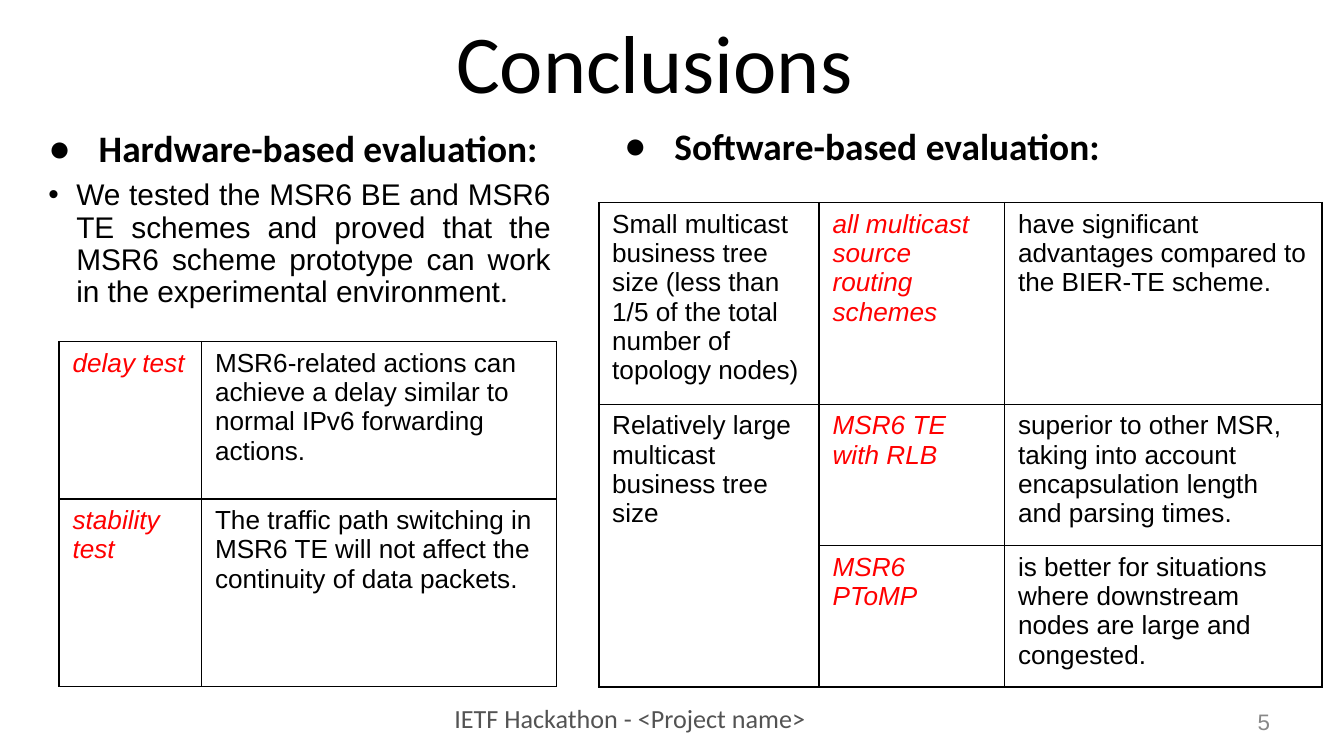
from collections import namedtuple

from lxml import etree
from pptx import Presentation, util as u
from pptx.dml.color import RGBColor
from pptx.enum import text
from pptx.oxml import ns

BLACK = RGBColor(0x00, 0x00, 0x00)
RED = RGBColor(0xFF, 0x00, 0x00)
DARK_GRAY = RGBColor(0x53, 0x53, 0x53)
GRAY = RGBColor(0x88, 0x88, 0x88)

WIDTH = u.Inches(10)
HEIGHT = WIDTH * 9 // 16
COLUMN, ROW = WIDTH / 100, HEIGHT / 100
INSET = u.Inches(0.05)

Box = namedtuple("Box", "left top width height")

DELAY_ROWS = [
    ["delay test",
     "MSR6-related actions can achieve a delay similar to normal IPv6 forwarding actions."],
    ["stability test",
     "The traffic path switching in MSR6 TE will not affect the continuity of data packets."],
]
SCHEME_ROWS = [
    ["Small multicast business tree size (less than 1/5 of the total number of topology nodes)",
     "all multicast source routing schemes",
     "have significant advantages compared to the BIER-TE scheme."],
    ["Relatively large multicast business tree size",
     "MSR6 TE with RLB",
     "superior to other MSR, taking into account encapsulation length and parsing times."],
    ["",
     "MSR6 PToMP",
     "is better for situations where downstream nodes are large and congested."],
]


def place(box):
    return (round(box.left * COLUMN), round(box.top * ROW),
            round(box.width * COLUMN), round(box.height * ROW))


def set_font(para, name, size, color, bold=False, italic=False):
    font = para.font
    font.name, font.size = name, u.Pt(size)
    font.bold, font.italic = bold, italic
    font.color.rgb = color
    ending = etree.SubElement(para._p, ns.qn("a:endParaRPr"), sz=str(size * 100))
    etree.SubElement(ending, ns.qn("a:latin"), typeface=name)


def add_frame(page, box, inset=INSET, anchor=text.MSO_ANCHOR.TOP):
    frame = page.shapes.add_textbox(*place(box)).text_frame
    frame.word_wrap = True
    frame.vertical_anchor = anchor
    frame.margin_left = frame.margin_right = inset
    frame.margin_top = frame.margin_bottom = INSET
    return frame


def add_line(page, box, words, name, size, color, align, anchor):
    para = add_frame(page, box, anchor=anchor).paragraphs[0]
    para.text = words
    para.alignment = align
    set_font(para, name, size, color)


def add_bullet(para, symbol, indent):
    para.line_spacing = 0.9
    para.space_before = u.Pt(5)
    props = para._p.get_or_add_pPr()
    props.set("marL", str(u.Pt(indent)))
    props.set("indent", str(-u.Pt(indent)))
    etree.SubElement(props, ns.qn("a:buFont"), typeface="Arial")
    etree.SubElement(props, ns.qn("a:buChar"), char=symbol)


def write_heading(para, words):
    para.text = words
    add_bullet(para, "●", 27)
    set_font(para, "Calibri", 20, BLACK, bold=True)


def add_border(cell):
    props = cell._tc.get_or_add_tcPr()
    for index, side in enumerate(("lnL", "lnR", "lnT", "lnB")):
        line = etree.Element(ns.qn(f"a:{side}"), w=str(u.Pt(1)))
        fill = etree.SubElement(line, ns.qn("a:solidFill"))
        etree.SubElement(fill, ns.qn("a:srgbClr"), val=str(BLACK))
        props.insert(index, line)


def add_grid(page, box, rows, widths, heights, red_column):
    table = page.shapes.add_table(len(rows), len(widths), *place(box)).table
    table.first_row = table.horz_banding = False
    for column, width in zip(table.columns, widths):
        column.width = round(width * COLUMN)
    for row, height in zip(table.rows, heights):
        row.height = round(height * ROW)
    for y, words in enumerate(rows):
        for x, word in enumerate(words):
            cell = table.cell(y, x)
            cell.fill.background()
            add_border(cell)
            cell.text = word
            is_red = x == red_column
            set_font(cell.text_frame.paragraphs[0], "Arial", 14,
                     RED if is_red else BLACK, italic=is_red)
    return table


def add_title(page, box):
    add_line(page, box, "Conclusions", "Calibri", 44, BLACK,
             text.PP_ALIGN.CENTER, text.MSO_ANCHOR.MIDDLE)


def add_hardware(page, box):
    frame = add_frame(page, box._replace(height=30.6))
    write_heading(frame.paragraphs[0], "Hardware-based evaluation:")
    para = frame.add_paragraph()
    para.text = ("We tested the MSR6 BE and MSR6 TE schemes and proved that the MSR6 "
                 "scheme prototype can work in the experimental environment.")
    para.alignment = text.PP_ALIGN.JUSTIFY
    add_bullet(para, "•", 15)
    set_font(para, "Arial", 16, BLACK)
    grid = Box(box.left + 1.3, box.top + 28.8, 37, 45.6)
    add_grid(page, grid, DELAY_ROWS, (10.6, 26.4), (20.8, 24.8), 0)


def add_software(page, box):
    grid = Box(box.left, box.top + 10.7, box.width, 62.3)
    table = add_grid(page, grid, SCHEME_ROWS, (16.4, 13.8, 23.6), (24.9, 18.7, 18.7), 1)
    table.cell(1, 0).merge(table.cell(2, 0))
    heading = Box(box.left + 0.9, box.top, 39.6, 7.1)
    frame = add_frame(page, heading, inset=u.Inches(0.1))
    write_heading(frame.paragraphs[0], "Software-based evaluation:")


def add_footer(page, box):
    add_line(page, Box(box.left + 33.3, box.top, 30.2, 5.7),
             "IETF Hackathon - <Project name>", "Calibri", 14, DARK_GRAY,
             text.PP_ALIGN.LEFT, text.MSO_ANCHOR.TOP)
    add_line(page, Box(box.left + 92.1, box.top + 0.8, 2.9, 5.2),
             "5", "Arial", 12, GRAY, text.PP_ALIGN.RIGHT, text.MSO_ANCHOR.MIDDLE)


def main():
    deck = Presentation()
    deck.slide_width, deck.slide_height = WIDTH, HEIGHT
    page = deck.slides.add_slide(deck.slide_layouts[6])
    add_title(page, Box(3.7, -0.3, 90, 16.7))
    add_hardware(page, Box(3.1, 16.4, 38.4, 74.4))
    add_software(page, Box(44.55, 16.1, 53.8, 74))
    add_footer(page, Box(0, 92, 100, 8))
    deck.save("out.pptx")


if __name__ == "__main__":
    main()
